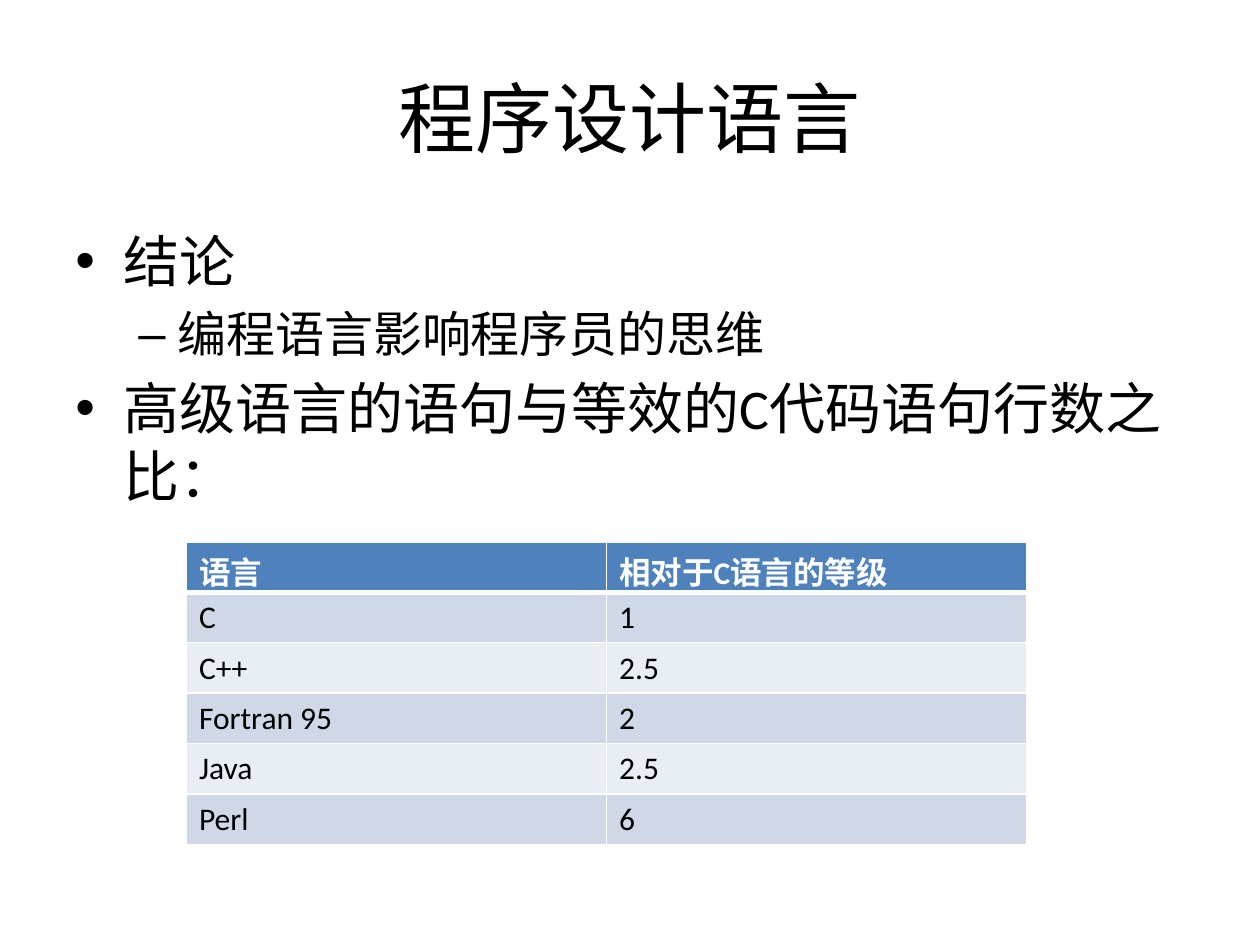
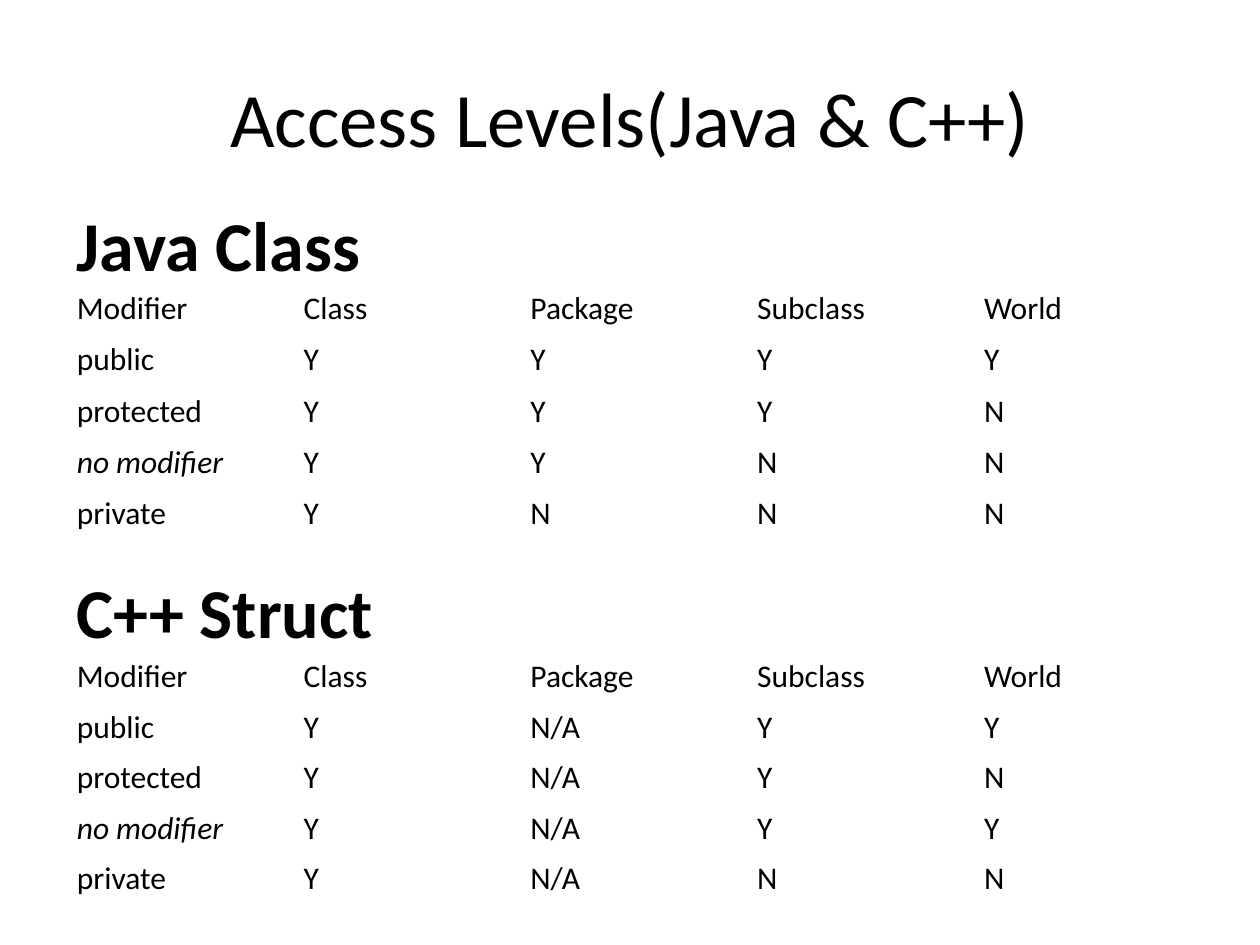
from lxml import etree
from pptx import Presentation
from pptx import util as u
from pptx.dml.color import RGBColor
from pptx.enum import text
from pptx.oxml.ns import qn

COLOURS = {"ink": "000000", "paper": "FFFFFF", "header": "4F81BD",
           "band_dark": "D0D8E8", "band_light": "E9EDF4"}
FONT = "Calibri"

LANGUAGE_TITLE = "程序设计语言"
CONCLUSIONS = [
    (0, "结论"),
    (1, "编程语言影响程序员的思维"),
    (0, "高级语言的语句与等效的C代码语句行数之比："),
]
LEVELS = [
    {"size": 32, "bullet": "•", "margin": 0.38, "indent": -0.38},
    {"size": 28, "bullet": "–", "margin": 0.81, "indent": -0.31},
]
RATIOS = [
    ("语言", "相对于C语言的等级"),
    ("C", "1"),
    ("C++", "2.5"),
    ("Fortran 95", "2"),
    ("Java", "2.5"),
    ("Perl", "6"),
]

ACCESS_TITLE = "Access Levels(Java & C++)"
SCOPES = ["Modifier", "Class", "Package", "Subclass", "World"]
MODIFIERS = ["public", "protected", "no modifier", "private"]
ACCESS = [
    ("Java Class", 1.55, 2.25, ["Y Y Y Y", "Y Y Y N", "Y Y N N", "Y N N N"]),
    ("C++ Struct", 4.46, 5.17, ["Y N/A Y Y", "Y N/A Y N", "Y N/A Y Y", "Y N/A N N"]),
]


def colour(name):
    return RGBColor.from_string(COLOURS[name])


def write(paragraph, words, size, ink="ink", **formats):
    run = paragraph.add_run()
    run.text = words
    run.font.color.rgb = colour(ink)
    for key, value in {"name": FONT, "size": u.Pt(size), **formats}.items():
        setattr(run.font, key, value)


def new_slide(heading):
    slide = deck.slides.add_slide(deck.slide_layouts[5])
    title = slide.shapes.title
    box = {"left": 0.5, "top": 0.3, "width": 9, "height": 1.25}
    for key, value in box.items():
        setattr(title, key, u.Inches(value))
    title.text_frame.vertical_anchor = text.MSO_ANCHOR.MIDDLE
    paragraph = title.text_frame.paragraphs[0]
    paragraph.alignment = text.PP_ALIGN.CENTER
    write(paragraph, heading, 44)
    return slide


def add_text(slide, *box):
    frame = slide.shapes.add_textbox(*map(u.Inches, box)).text_frame
    frame.word_wrap = True
    return frame


def add_grid(slide, rows, left, top, width, row_height, style_cell):
    grid = slide.shapes.add_table(
        len(rows), len(rows[0]), u.Inches(left), u.Inches(top),
        u.Inches(width), u.Inches(row_height * len(rows))).table
    for key in ("first_row", "horz_banding"):
        setattr(grid, key, False)
    for r, row in enumerate(rows):
        for c, words in enumerate(row):
            style_cell(grid.cell(r, c), r, words)


def bullet(paragraph, level):
    properties = paragraph._p.get_or_add_pPr()
    for key, name in (("marL", "margin"), ("indent", "indent")):
        properties.set(key, str(u.Inches(level[name])))
    etree.SubElement(properties, qn("a:buFont"), typeface="Arial")
    etree.SubElement(properties, qn("a:buChar"), char=level["bullet"])


def border(cell, side, points):
    line = etree.SubElement(cell._tc.get_or_add_tcPr(), qn("a:ln" + side),
                            w=str(u.Pt(points)))
    fill = etree.SubElement(line, qn("a:solidFill"))
    etree.SubElement(fill, qn("a:srgbClr"), val=COLOURS["paper"])


def ratio_cell(cell, row, words):
    widths = {"L": 1, "R": 1, "T": 3 if row == 1 else 1, "B": 3 if row == 0 else 1}
    for side, points in widths.items():
        border(cell, side, points)
    band = "band_dark" if row % 2 else "band_light"
    cell.fill.solid()
    cell.fill.fore_color.rgb = colour(band if row else "header")
    write(cell.text_frame.paragraphs[0], words, 18,
          "ink" if row else "paper", bold=row == 0)


def access_cell(cell, row, words):
    cell.fill.background()
    cell.vertical_anchor = text.MSO_ANCHOR.MIDDLE
    write(cell.text_frame.paragraphs[0], words, 18, italic=words == "no modifier")


deck = Presentation()
deck.slide_width, deck.slide_height = u.Inches(10), u.Inches(7.5)

languages = new_slide(LANGUAGE_TITLE)
conclusions = add_text(languages, 0.5, 1.75, 9, 4.95)
for i, (depth, words) in enumerate(CONCLUSIONS):
    paragraph = conclusions.add_paragraph() if i else conclusions.paragraphs[0]
    level = LEVELS[depth]
    paragraph.level = depth
    paragraph.space_before = u.Pt(level["size"] * 0.2)
    bullet(paragraph, level)
    write(paragraph, words, level["size"])
add_grid(languages, RATIOS, 1.48, 4.3, 6.67, 0.4, ratio_cell)

access = new_slide(ACCESS_TITLE)
for heading, heading_top, grid_top, grants in ACCESS:
    rows = [SCOPES] + [[name, *grant.split()] for name, grant in zip(MODIFIERS, grants)]
    add_grid(access, rows, 0.51, grid_top, 9, 0.4, access_cell)
    caption = add_text(access, 0.51, heading_top, 3.54, 0.77)
    write(caption.paragraphs[0], heading, 40, bold=True)

deck.save("out.pptx")
